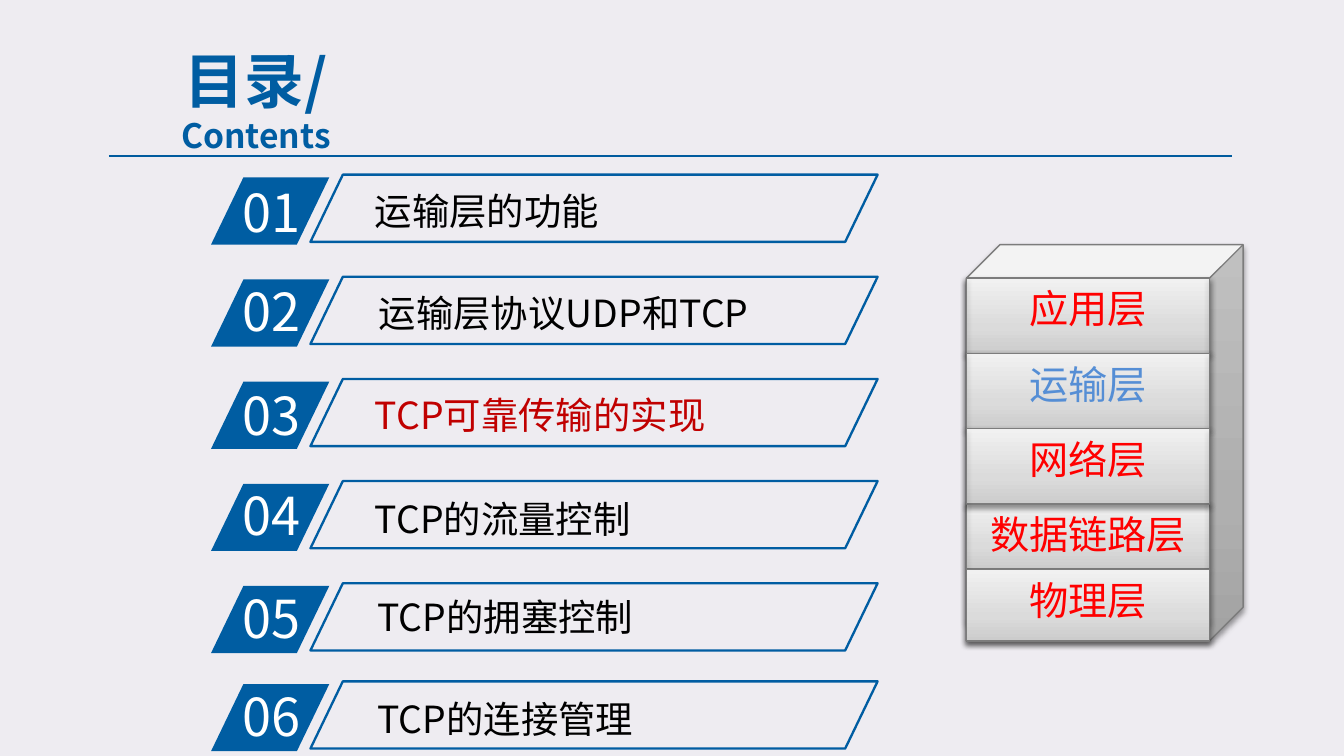
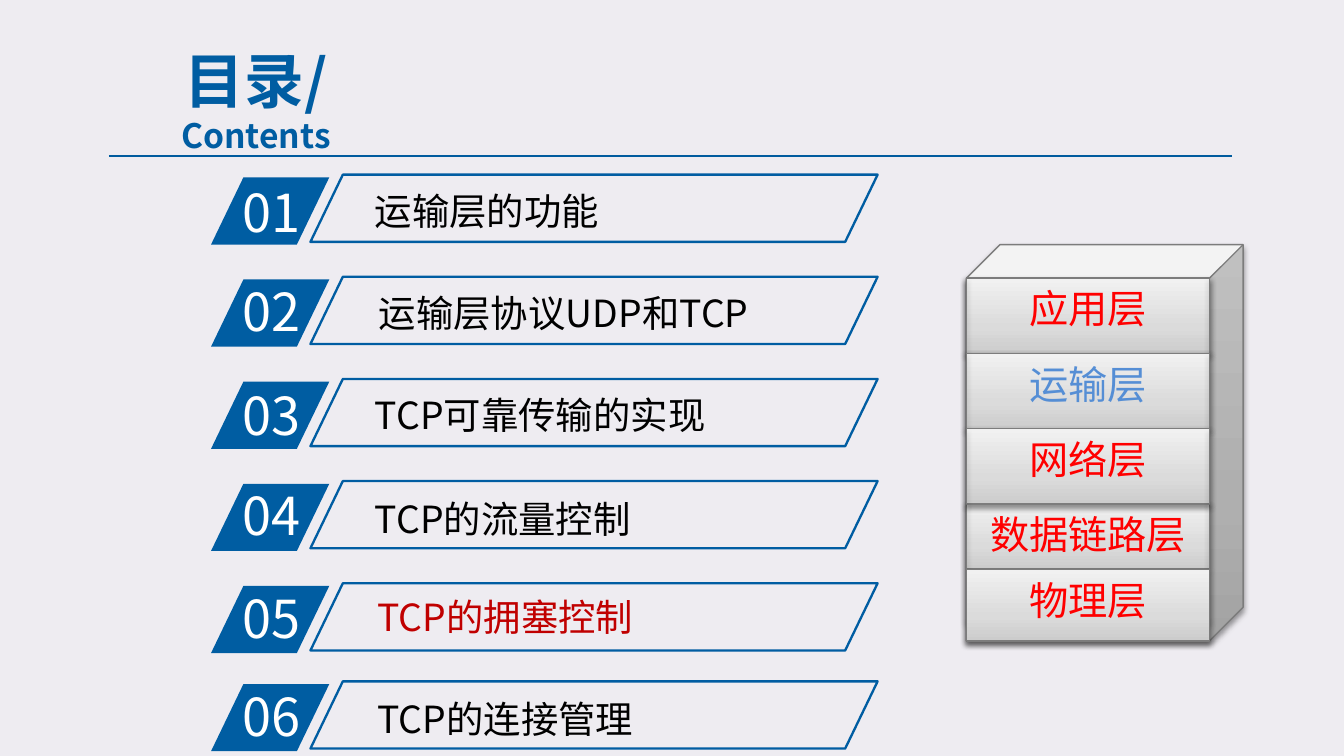
from dataclasses import dataclass

from lxml import etree
from pptx import Presentation
from pptx.dml.color import RGBColor
from pptx.enum.shapes import MSO_CONNECTOR, MSO_SHAPE
from pptx.enum.text import MSO_ANCHOR, MSO_AUTO_SIZE, PP_ALIGN
from pptx.oxml import parse_xml
from pptx.oxml.ns import nsdecls, qn
from pptx.shapes.autoshape import Shape
from pptx.slide import Slide
from pptx.text.text import _Paragraph as Paragraph
from pptx.util import Inches, Pt

FONT = "Noto Sans CJK SC"
BACKGROUND, BLUE, RULE_BLUE = "EEECF1", "005DA2", "005B9E"
WHITE, BLACK, CURRENT = "FFFFFF", "000000", "C00000"
LAYER_RED, LAYER_BLUE, EDGE = "FF0000", "558ED5", "7C7C7C"
METAL = ((0, "CCCCCC"), (35, "DBDBDB"), (100, "F1F1F1"))

TAG_LEFT, TAG_WIDTH = 1.57, 0.88
BAR_LEFT, BAR_WIDTH, BAR_HEIGHT = 2.31, 4.22, 0.5
FIRST_BAR, BAR_STEP, LAST_BAR = 1.3, 0.76, 5.07
SLANT = 0.482
STACK_LEFT, STACK_WIDTH = 7.19, 1.81
STACK_RIGHT = STACK_LEFT + STACK_WIDTH


@dataclass(frozen=True)
class Chapter:
    title: str
    left: float
    top: float
    number_top: float


@dataclass(frozen=True)
class Layer:
    """A face of the stack, its side edges and the horizontal edges over it."""
    name: str
    top: float
    height: float
    color: str = LAYER_RED
    sides_end: float | None = None
    rules: tuple[float, ...] = ()


CHAPTERS = (
    Chapter("运输层的功能", 2.69, 1.35, 1.29),
    Chapter("运输层协议UDP和TCP", 2.72, 2.11, 2.03),
    Chapter("TCP可靠传输的实现", 2.69, 2.87, 2.8),
    Chapter("TCP的流量控制", 2.69, 3.64, 3.55),
    Chapter("TCP的拥塞控制", 2.71, 4.37, 4.31),
    Chapter("TCP的连接管理", 2.71, 5.13, 5.04),
)
LAYERS = (
    Layer("应用层", 2.07, 0.56, sides_end=2.63, rules=(2.63,)),
    Layer("运输层", 2.63, 0.56, LAYER_BLUE, sides_end=3.19, rules=(3.19,)),
    Layer("数据链路层", 3.75, 0.48, sides_end=4.63, rules=(3.75, 4.63)),
    Layer("网络层", 3.19, 0.56, sides_end=3.75),
    Layer("物理层", 4.24, 0.53),
)
CURRENT_CHAPTERS = (3, 5)


def rgb(value: str) -> RGBColor:
    return RGBColor.from_string(value)


def add_run(paragraph: Paragraph, text: str, size: float, color: str, bold: bool = False) -> None:
    run = paragraph.add_run()
    run.text = text
    font = run.font
    font.name, font.size, font.bold = FONT, Pt(size), bold
    font.color.rgb = rgb(color)
    east_asian = etree.SubElement(run._r.get_or_add_rPr(), qn("a:ea"))
    east_asian.set("typeface", FONT)


def add_text(slide: Slide, left: float, top: float, width: float, height: float,
             text: str, size: float, color: str) -> None:
    box = slide.shapes.add_textbox(Inches(left), Inches(top), Inches(width), Inches(height))
    frame = box.text_frame
    frame.word_wrap = True
    frame.auto_size = MSO_AUTO_SIZE.SHAPE_TO_FIT_TEXT
    add_run(frame.paragraphs[0], text, size, color)


def add_slanted(slide: Slide, left: float, top: float, width: float) -> Shape:
    shape = slide.shapes.add_shape(MSO_SHAPE.PARALLELOGRAM, Inches(left), Inches(top),
                                   Inches(width), Inches(BAR_HEIGHT))
    shape.adjustments[0] = SLANT
    shape.shadow.inherit = False
    return shape


def add_soft_shadow(properties) -> None:
    properties.append(parse_xml(
        f'<a:effectLst {nsdecls("a")}><a:outerShdw blurRad="{Pt(3.1)}" dist="{Pt(1.6)}" '
        f'dir="5400000" rotWithShape="0"><a:srgbClr val="{BLACK}"><a:alpha val="38000"/>'
        '</a:srgbClr></a:outerShdw></a:effectLst>'))


def add_edge(slide: Slide, x1: float, y1: float, x2: float, y2: float,
             color: str = EDGE, shadow: bool = True) -> None:
    edge = slide.shapes.add_connector(MSO_CONNECTOR.STRAIGHT, Inches(x1), Inches(y1),
                                      Inches(x2), Inches(y2))
    edge.line.color.rgb = rgb(color)
    edge.line.width = Pt(0.75)
    properties = edge._element.spPr
    if shadow:
        add_soft_shadow(properties)
    else:
        etree.SubElement(properties, qn("a:effectLst"))


def add_metal(slide: Slide, kind: MSO_SHAPE, left: float, top: float,
              width: float, height: float) -> Shape:
    """Add a grey shape that darkens towards its foot."""
    shape = slide.shapes.add_shape(kind, Inches(left), Inches(top), Inches(width), Inches(height))
    stops = "".join(f'<a:gs pos="{position * 1000}"><a:srgbClr val="{color}"/></a:gs>'
                    for position, color in METAL)
    properties = shape._element.spPr
    properties.append(parse_xml(
        f'<a:gradFill {nsdecls("a")} rotWithShape="1"><a:gsLst>{stops}</a:gsLst>'
        '<a:lin ang="16200000" scaled="0"/></a:gradFill>'))
    shape.line.color.rgb = rgb(EDGE)
    shape.line.width = Pt(0.75)
    add_soft_shadow(properties)
    return shape


def add_heading(slide: Slide) -> None:
    title = slide.shapes.title
    title.left, title.top = Inches(0.67), Inches(0.47)
    title.width, title.height = Inches(2.47), Inches(0.54)
    frame = title.text_frame
    frame.auto_size = MSO_AUTO_SIZE.NONE
    frame.vertical_anchor = MSO_ANCHOR.MIDDLE
    paragraph = frame.paragraphs[0]
    paragraph.alignment = PP_ALIGN.CENTER
    paragraph.space_before = Pt(0)
    add_run(paragraph, "目录/", 32, BLUE, bold=True)
    paragraph.add_line_break()
    add_run(paragraph, "Contents", 18, BLUE, bold=True)
    add_edge(slide, 0.81, 1.16, 9.17, 1.16, RULE_BLUE, shadow=False)


def add_chapters(slide: Slide, current: int) -> None:
    for number, chapter in enumerate(CHAPTERS, start=1):
        top = min(FIRST_BAR + (number - 1) * BAR_STEP, LAST_BAR)
        tag = add_slanted(slide, TAG_LEFT, top + 0.02, TAG_WIDTH)
        tag.fill.solid()
        tag.fill.fore_color.rgb = rgb(BLUE)
        tag.line.fill.background()
        add_text(slide, 1.71, chapter.number_top, 0.84, 0.57, f"{number:02}", 28, WHITE)
        bar = add_slanted(slide, BAR_LEFT, top, BAR_WIDTH)
        bar.fill.background()
        bar.line.color.rgb = rgb(BLUE)
        bar.line.width = Pt(1.25)
        add_text(slide, chapter.left, chapter.top, 3.61, 0.44, chapter.title, 20,
                 CURRENT if number == current else BLACK)


def add_layer_stack(slide: Slide) -> None:
    cube = add_metal(slide, MSO_SHAPE.CUBE, STACK_LEFT, 1.82, 2.06, 2.95)
    cube.adjustments[0] = 0.122
    for layer in LAYERS:
        face = add_metal(slide, MSO_SHAPE.RECTANGLE, STACK_LEFT, layer.top,
                         STACK_WIDTH, layer.height)
        frame = face.text_frame
        frame.word_wrap = True
        frame.vertical_anchor = MSO_ANCHOR.TOP
        paragraph = frame.paragraphs[0]
        paragraph.alignment = PP_ALIGN.CENTER
        add_run(paragraph, layer.name, 21, layer.color)
        for y in layer.rules:
            add_edge(slide, STACK_LEFT, y, STACK_RIGHT, y)
        if layer.sides_end is not None:
            for x in (STACK_LEFT, STACK_RIGHT):
                add_edge(slide, x, layer.top, x, layer.sides_end)


def main() -> None:
    prs = Presentation()
    prs.slide_width = Inches(10)
    prs.slide_height = prs.slide_width * 9 // 16
    background = prs.slide_master.background.fill
    background.solid()
    background.fore_color.rgb = rgb(BACKGROUND)
    title_only = prs.slide_layouts[5]
    for current in CURRENT_CHAPTERS:
        slide = prs.slides.add_slide(title_only)
        add_heading(slide)
        add_layer_stack(slide)
        add_chapters(slide, current)
    prs.save("out.pptx")


if __name__ == "__main__":
    main()
